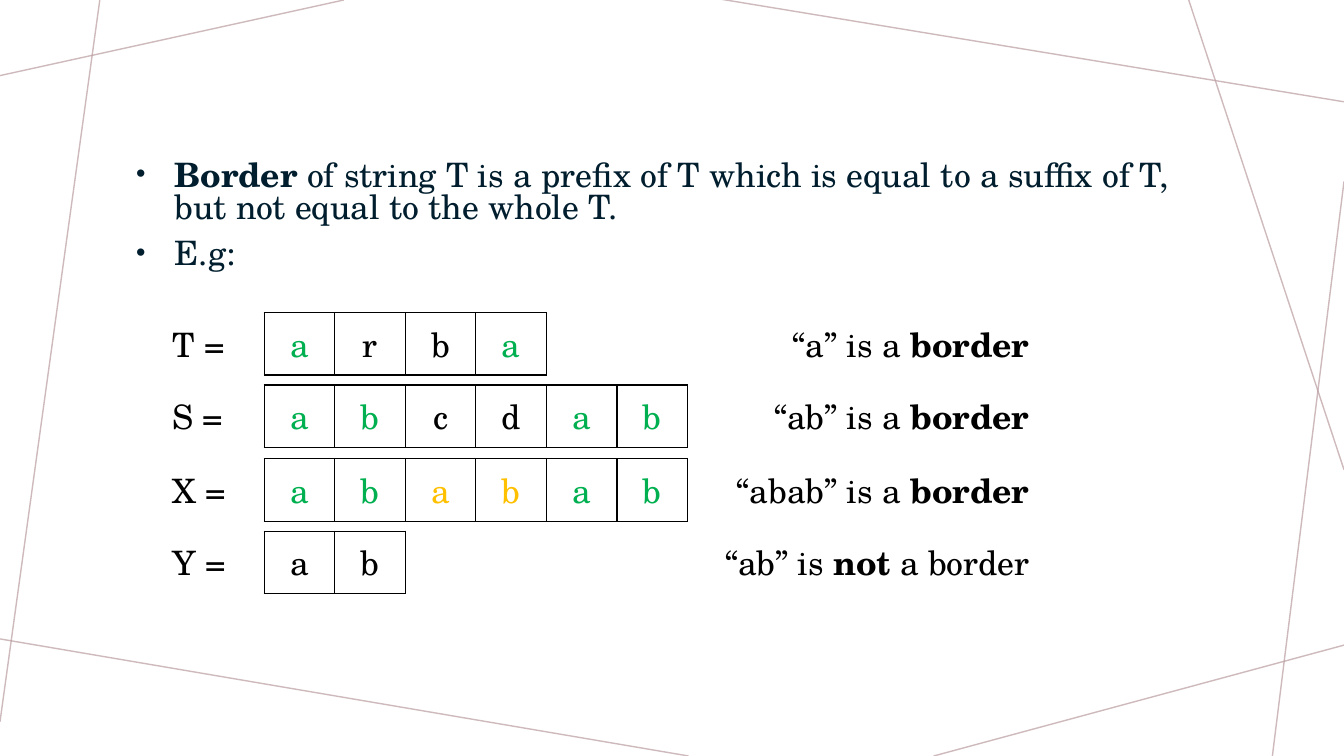
from lxml import etree
from pptx import Presentation
from pptx import util as u
from pptx.dml.color import RGBColor
from pptx.enum import shapes, text
from pptx.oxml import parse_xml
from pptx.oxml.ns import nsdecls, qn

PX = 9144
FONT = "TeX Gyre Schola"
NAVY = RGBColor(0x00, 0x1E, 0x2E)
BLACK = RGBColor(0x00, 0x00, 0x00)
GREEN = RGBColor(0x00, 0xB0, 0x50)
AMBER = RGBColor(0xFF, 0xC0, 0x00)
MAUVE = RGBColor(0xBA, 0x9C, 0xA0)
NO_STYLE = "{2D5ABB26-0587-4C30-8999-92F81FD0307C}"
LETTER_COLORS = {"k": BLACK, "g": GREEN, "y": AMBER}


def write(paragraph, runs, color, alignment=text.PP_ALIGN.LEFT):
    paragraph.alignment = alignment
    paragraph.font.name = FONT
    paragraph.font.size = u.Pt(24)
    paragraph.font.color.rgb = color
    for words, bold in runs:
        run = paragraph.add_run()
        run.text = words
        run.font.name = FONT
        run.font.size = u.Pt(24)
        run.font.color.rgb = color
        run.font.bold = bold


def draw_borders(cell, sides):
    properties = cell._tc.get_or_add_tcPr()
    for side in sides:
        properties.append(parse_xml(
            f'<a:ln{side} {nsdecls("a")} w="12700"><a:solidFill>'
            f'<a:srgbClr val="{BLACK}"/></a:solidFill></a:ln{side}>'))


presentation = Presentation()
presentation.slide_width = 1333 * PX
presentation.slide_height = 750 * PX
slide = presentation.slides.add_slide(presentation.slide_layouts[1])
title = slide.shapes.title
title.element.getparent().remove(title.element)

background_lines = [
    (341, 0, 0, 75),
    (99, 0, 0, 716),
    (683, 750, -5, 633),
    (1333, 640, 926, 750),
    (1333, 180, 1262, 750),
    (1333, 466, 1179, 0),
    (1333, 101, 714, -1),
]
for ends in background_lines:
    line = slide.shapes.add_connector(
        shapes.MSO_CONNECTOR.STRAIGHT, *[end * PX for end in ends])
    line.line.color.rgb = MAUVE
    line.line.width = u.Pt(1)
    color = line.element.find(".//" + qn("a:srgbClr"))
    etree.SubElement(color, qn("a:alpha"), val="70000")
    etree.SubElement(line.element.spPr, qn("a:effectLst"))

body = slide.placeholders[1]
body.left, body.top, body.width, body.height = [n * PX for n in (125, 155, 1083, 440)]
frame = body.text_frame
frame.auto_size = text.MSO_AUTO_SIZE.NONE
frame.vertical_anchor = text.MSO_ANCHOR.TOP
frame.word_wrap = True
bullets = [
    [("Border", True),
     (" of string T is a prefix of T which is equal to a suffix of T, "
      "but not equal to the whole T.", False)],
    [("E.g:", False)],
]
for index, runs in enumerate(bullets):
    paragraph = frame.add_paragraph() if index else frame.paragraphs[0]
    write(paragraph, runs, NAVY)
    paragraph.line_spacing = 0.8
    paragraph.space_before = u.Pt(10)
    properties = paragraph._p.get_or_add_pPr()
    properties.set("marL", str(38 * PX))
    properties.set("indent", str(-38 * PX))
    bullet_parts = [("buSzPct", {"val": "80000"}),
                    ("buFont", {"typeface": "Arial"}),
                    ("buChar", {"char": "•"})]
    position = len(properties.findall(qn("a:lnSpc")) + properties.findall(qn("a:spcBef")))
    for offset, (tag, values) in enumerate(bullet_parts):
        properties.insert(position + offset, properties.makeelement(qn("a:" + tag), values))

LEFT, TOP, WIDTH, ROW_HEIGHT = 161, 310, 870, 62
NAME_WIDTH, LETTER_WIDTH = 101, 70
examples = [
    ("T", "arba", "gkkg", [("“a” is a ", False), ("border", True)]),
    ("S", "abcdab", "ggkkgg", [("“ab” is a ", False), ("border", True)]),
    ("X", "ababab", "ggyygg", [("“abab” is a ", False), ("border", True)]),
    ("Y", "ab", "kk", [("“ab” is ", False), ("not", True), (" a border", False)]),
]
for index, (name, letters, colors, verdict) in enumerate(examples):
    count = len(letters)
    top = TOP + index * 145 // 2
    table = slide.shapes.add_table(
        1, count + 2, LEFT * PX, top * PX, WIDTH * PX, ROW_HEIGHT * PX).table
    table.first_row = False
    table.horz_banding = False
    table._tbl.tblPr.find(qn("a:tableStyleId")).text = NO_STYLE
    widths = [NAME_WIDTH] + [LETTER_WIDTH] * count
    widths.append(WIDTH - sum(widths))
    contents = [([(f"{name} =", False)], BLACK, text.PP_ALIGN.LEFT, "R")]
    for letter, key in zip(letters, colors):
        contents.append(
            ([(letter, False)], LETTER_COLORS[key], text.PP_ALIGN.CENTER, "LRTB"))
    contents.append((verdict, BLACK, text.PP_ALIGN.RIGHT, "L"))
    for column, (runs, color, alignment, sides) in enumerate(contents):
        table.columns[column].width = widths[column] * PX
        cell = table.cell(0, column)
        cell.vertical_anchor = text.MSO_ANCHOR.MIDDLE
        write(cell.text_frame.paragraphs[0], runs, color, alignment)
        draw_borders(cell, sides)
        cell.fill.background()

presentation.save("out.pptx")
